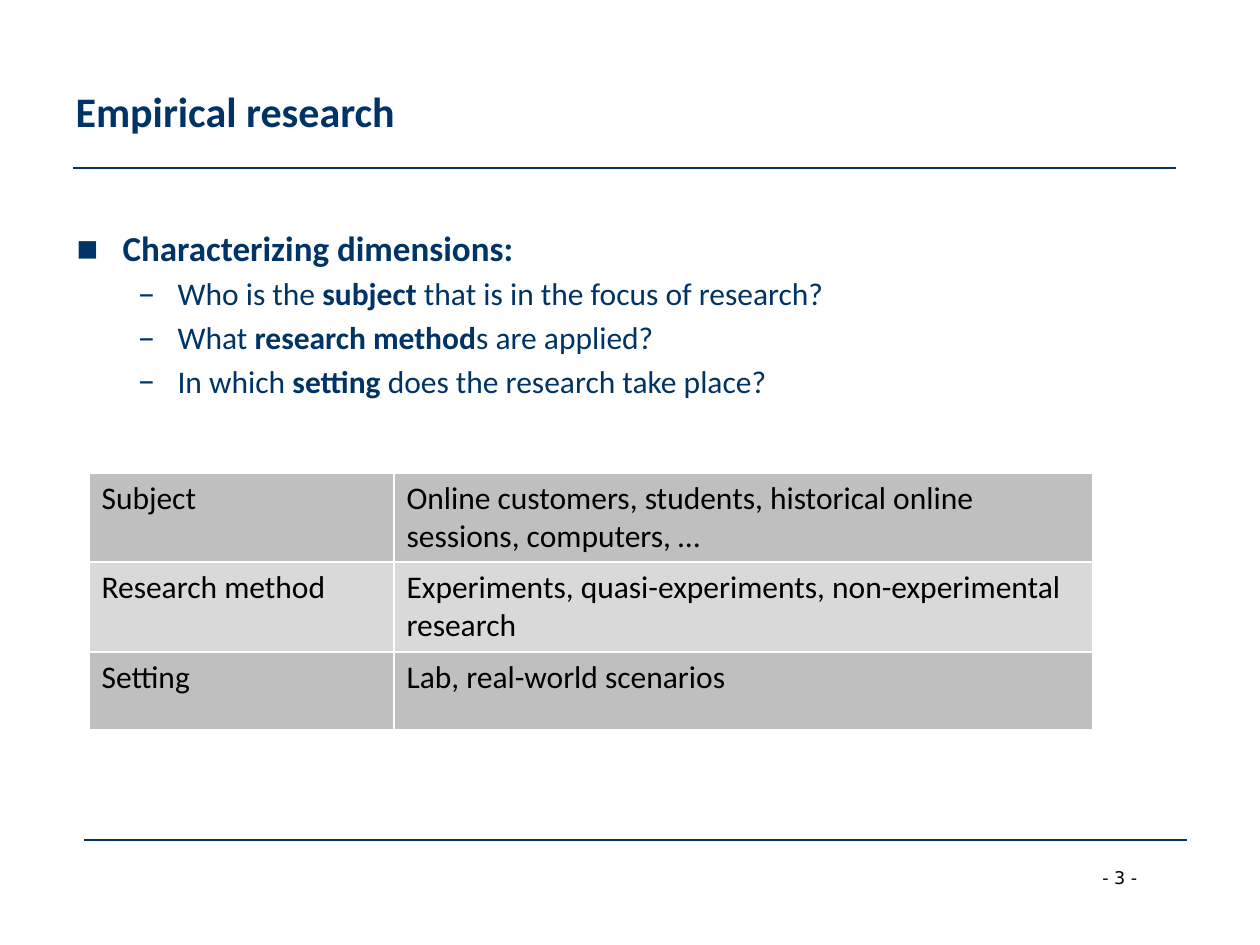
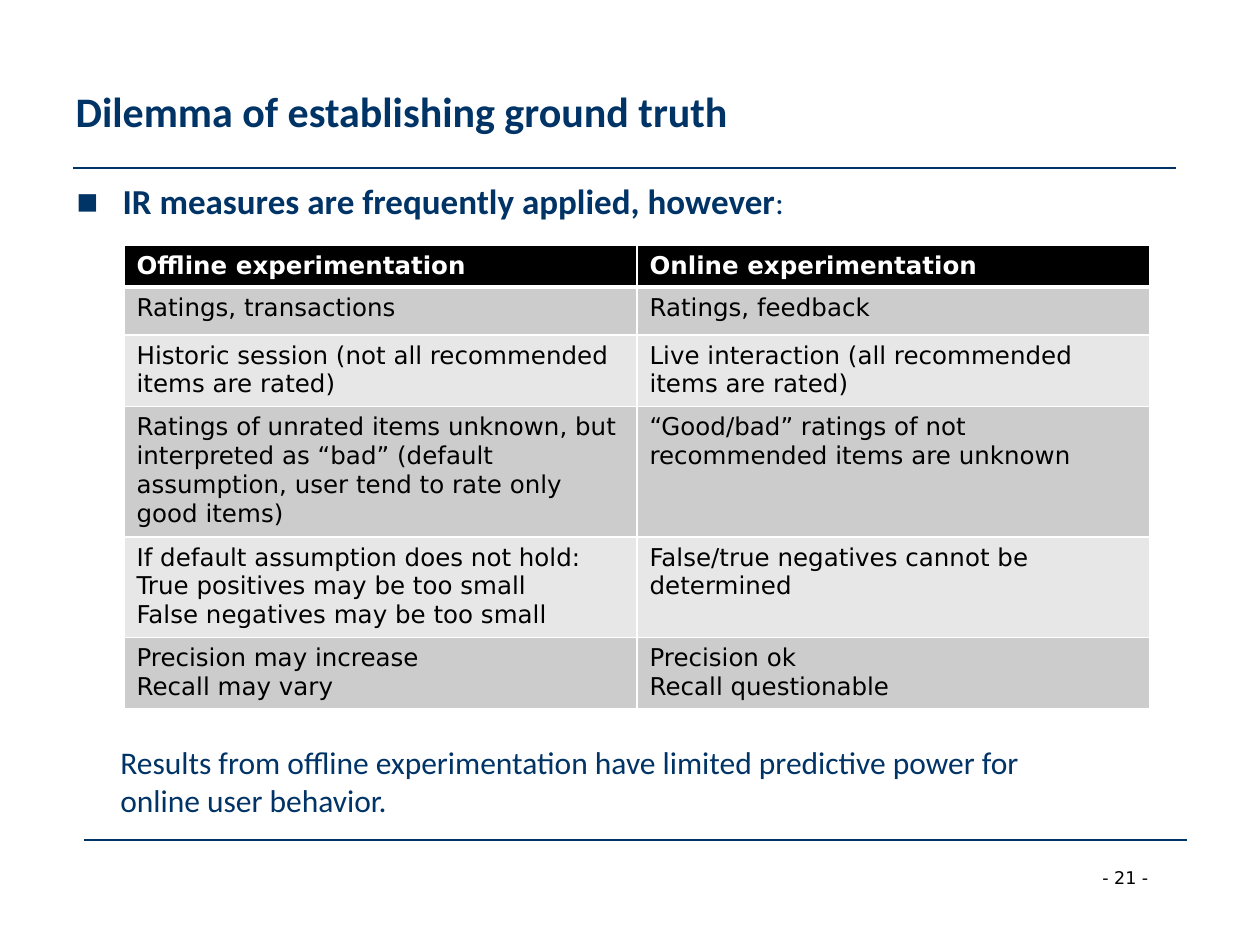
import pptx
import pptx.dml.color
import pptx.enum.shapes
import pptx.enum.text
import pptx.slide
import pptx.table
import pptx.text.text
import pptx.util
from dataclasses import dataclass
from lxml import etree

SCALE = 914400 / 126
NS = "{http://schemas.openxmlformats.org/drawingml/2006/main}"


# Theme: colours, fonts and type sizes
@dataclass(frozen=True)
class Theme:
    navy: str = "003366"
    black: str = "000000"
    white: str = "FFFFFF"
    sans: str = "Calibri"
    plain: str = "DejaVu Sans"
    title: int = 24
    lead: int = 20
    text: int = 18
    cell: int = 14
    page: int = 10


THEME = Theme()


# Parts of a slide, with lengths in px
@dataclass(frozen=True)
class Box:
    left: int
    top: int
    width: int
    height: int


@dataclass(frozen=True)
class Rule:
    left: int
    top: int
    width: int


@dataclass(frozen=True)
class Bullet:
    sign: str
    margin: int
    hang: int
    before: float


@dataclass(frozen=True)
class Item:
    text: str  # bold words stand between asterisks
    level: int = 0


@dataclass(frozen=True)
class Grid:
    left: int
    top: int
    cols: list[int]
    rows: list[int]
    cells: list[tuple[str, str]]
    bands: tuple[str, str]
    font: str
    size: int
    head: bool = False


TITLE = Box(63, 32, 1134, 157)
PAGE = Box(1090, 861, 96, 34)
RULES = [Rule(73, 168, 1103), Rule(84, 840, 1103)]
BULLETS = [Bullet("▪", 47, 47, 12), Bullet("–", 102, 39, 3.5)]


def px(size: int) -> pptx.util.Emu:
    return pptx.util.Emu(round(size * SCALE))


def rgb(code: str) -> pptx.dml.color.RGBColor:
    return pptx.dml.color.RGBColor.from_string(code)


def style(run: pptx.text.text._Run, font: str, size: int, color: str,
          bold: bool = False) -> None:
    run.font.name = font
    run.font.size = pptx.util.Pt(size)
    run.font.color.rgb = rgb(color)
    run.font.bold = bold


def paint(frame: pptx.text.text.TextFrame, font: str, size: int, color: str,
          bold: bool = False) -> None:
    for para in frame.paragraphs:
        for run in para.runs:
            style(run, font, size, color, bold)


def place(shape, box: Box) -> None:
    shape.left, shape.top = px(box.left), px(box.top)
    shape.width, shape.height = px(box.width), px(box.height)


def add_text(slide: pptx.slide.Slide, box: Box, text: str, font: str,
             size: int, color: str, wrap: bool = True) -> None:
    shape = slide.shapes.add_textbox(0, 0, 0, 0)
    place(shape, box)
    shape.text_frame.word_wrap = wrap
    shape.text_frame.text = text
    paint(shape.text_frame, font, size, color)


def add_rule(slide: pptx.slide.Slide, rule: Rule) -> None:
    line = slide.shapes.add_connector(
        pptx.enum.shapes.MSO_CONNECTOR.STRAIGHT, px(rule.left), px(rule.top),
        px(rule.left + rule.width), px(rule.top))
    line.line.color.rgb = rgb(THEME.navy)
    line.line.width = pptx.util.Pt(0.75)
    etree.SubElement(line._element.spPr, NS + "effectLst")


# Frame shared by all slides: rules, page number and title
def add_slide(deck, title: str, page: int) -> pptx.slide.Slide:
    slide = deck.slides.add_slide(deck.slide_layouts[1])
    for rule in RULES:
        add_rule(slide, rule)
    add_text(slide, PAGE, f"- {page} -", THEME.plain, THEME.page,
             THEME.black, wrap=False)
    head = slide.shapes.title
    place(head, TITLE)
    frame = head.text_frame
    frame.text = title
    frame.auto_size = pptx.enum.text.MSO_AUTO_SIZE.NONE
    frame.vertical_anchor = pptx.enum.text.MSO_ANCHOR.MIDDLE
    frame.paragraphs[0].alignment = pptx.enum.text.PP_ALIGN.LEFT
    paint(frame, THEME.sans, THEME.title, THEME.navy, bold=True)
    return slide


# Bullet list in the body placeholder
def fill_list(slide: pptx.slide.Slide, box: Box, items: list[Item]) -> None:
    body = slide.placeholders[1]
    place(body, box)
    frame = body.text_frame
    frame.auto_size = pptx.enum.text.MSO_AUTO_SIZE.NONE
    for order, item in enumerate(items):
        para = frame.add_paragraph() if order else frame.paragraphs[0]
        mark = BULLETS[item.level]
        para.level = item.level
        para.space_before = pptx.util.Pt(mark.before if order else 0)
        props = para._p.get_or_add_pPr()
        props.set("marL", str(px(mark.margin)))
        props.set("indent", str(px(-mark.hang)))
        etree.SubElement(props, NS + "buFont", typeface=THEME.plain)
        etree.SubElement(props, NS + "buChar", char=mark.sign)
        for part, words in enumerate(item.text.split("*")):
            if words:
                bold = part % 2 == 1
                lead = bold and item.level == 0
                run = para.add_run()
                run.text = words
                style(run, THEME.sans, THEME.lead if lead else THEME.text,
                      THEME.navy, bold)


def add_edge(cell: pptx.table._Cell, side: str, width: int) -> None:
    edge = etree.SubElement(cell._tc.get_or_add_tcPr(), NS + "ln" + side,
                            w=str(pptx.util.Pt(width)))
    fill = etree.SubElement(edge, NS + "solidFill")
    etree.SubElement(fill, NS + "srgbClr", val=THEME.white)


# Banded table with white cell edges and a heavier edge below its head
def add_grid(slide: pptx.slide.Slide, grid: Grid) -> None:
    table = slide.shapes.add_table(
        len(grid.rows), len(grid.cols), px(grid.left), px(grid.top),
        px(sum(grid.cols)), px(sum(grid.rows))).table
    table.first_row = grid.head
    table.horz_banding = False
    for col, width in zip(table.columns, grid.cols):
        col.width = px(width)
    for row, height in zip(table.rows, grid.rows):
        row.height = px(height)
    for y, texts in enumerate(grid.cells):
        head = grid.head and y == 0
        below = grid.head and y == 1
        for x, text in enumerate(texts):
            cell = table.cell(y, x)
            for side in "LRTB":
                thick = (head and side == "B") or (below and side == "T")
                add_edge(cell, side, 3 if thick else 1)
            cell.fill.solid()
            cell.fill.fore_color.rgb = rgb(
                THEME.black if head else grid.bands[(y - grid.head) % 2])
            cell.text_frame.text = text
            paint(cell.text_frame, grid.font, grid.size,
                  THEME.white if head else THEME.black, head)


# Slide on the dimensions of research
def add_research(deck) -> None:
    slide = add_slide(deck, "Empirical research", 3)
    fill_list(slide, Box(63, 220, 1134, 624), [
        Item("*Characterizing dimensions:*"),
        Item("Who is the *subject* that is in the focus of research?", 1),
        Item("What *research method*s are applied?", 1),
        Item("In which *setting* does the research take place?", 1),
    ])
    add_grid(slide, Grid(
        left=89, top=473, cols=[305, 699], rows=[89, 90, 78],
        bands=("BFBFBF", "D9D9D9"), font=THEME.sans, size=THEME.text,
        cells=[
            ("Subject", "Online customers, students, historical online "
                        "sessions, computers, …"),
            ("Research method", "Experiments, quasi-experiments, "
                                "non-experimental research"),
            ("Setting", "Lab, real-world scenarios"),
        ]))


# Slide on offline and online experiments
def add_truth(deck) -> None:
    slide = add_slide(deck, "Dilemma of establishing ground truth", 21)
    fill_list(slide, Box(63, 173, 1182, 70), [
        Item("*IR measures are frequently applied, however*:"),
    ])
    add_grid(slide, Grid(
        left=124, top=245, cols=[513, 513], rows=[41, 48, 71, 127, 99, 70],
        bands=("CCCCCC", "E7E7E7"), font=THEME.plain, size=THEME.cell,
        head=True,
        cells=[
            ("Offline experimentation", "Online experimentation"),
            ("Ratings, transactions", "Ratings, feedback"),
            ("Historic session (not all recommended items are rated)",
             "Live interaction (all recommended items are rated)"),
            ("Ratings of unrated items unknown, but interpreted as “bad” "
             "(default assumption, user tend to rate only good items)",
             "“Good/bad” ratings of not recommended items are unknown"),
            ("If default assumption does not hold:\n"
             "True positives may be too small\n"
             "False negatives may be too small",
             "False/true negatives cannot be determined"),
            ("Precision may increase\nRecall may vary",
             "Precision ok\nRecall questionable"),
        ]))
    add_text(slide, Box(108, 737, 960, 90),
             "Results from offline experimentation have limited predictive "
             "power for online user behavior.",
             THEME.sans, THEME.text, THEME.navy)


def main() -> None:
    deck = pptx.Presentation()
    deck.slide_width, deck.slide_height = px(1260), px(945)
    add_research(deck)
    add_truth(deck)
    deck.save("out.pptx")


if __name__ == "__main__":
    main()
